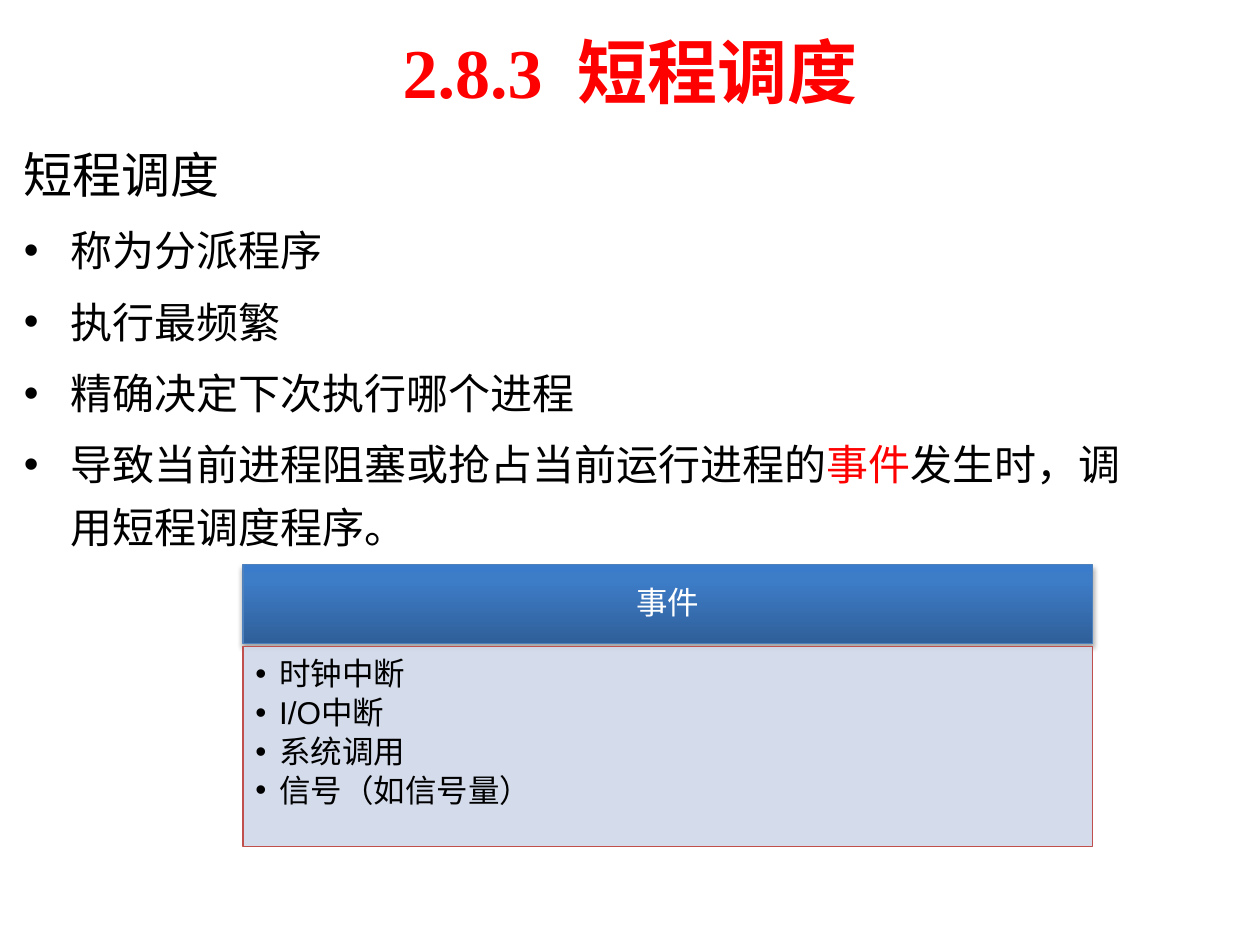
"""Build the slide on short-term scheduling and the events that trigger it."""
from lxml.etree import SubElement
from pptx import Presentation
from pptx.dml.color import RGBColor
from pptx.enum.shapes import MSO_SHAPE
from pptx.enum.text import MSO_ANCHOR, PP_ALIGN
from pptx.oxml import parse_xml
from pptx.oxml.ns import nsdecls, qn
from pptx.util import Cm, Pt

RED = RGBColor(0xFF, 0x00, 0x00)
BLACK = RGBColor(0x00, 0x00, 0x00)
WHITE = RGBColor(0xFF, 0xFF, 0xFF)
BLUE_LINE = RGBColor(0x4F, 0x81, 0xBD)
PANEL_LINE = RGBColor(0xC0, 0x50, 0x4D)
PANEL_FILL = RGBColor(0xD0, 0xD8, 0xE8)
HEADER_STOPS = [
    (0, RGBColor(0x2F, 0x5F, 0x99)),
    (80, RGBColor(0x3D, 0x7C, 0xC7)),
    (100, RGBColor(0x3A, 0x7C, 0xCB)),
]
SERIF, SANS = "Times New Roman", "Arial"

POINTS = [
    [("称为分派程序", BLACK)],
    [("执行最频繁", BLACK)],
    [("精确决定下次执行哪个进程", BLACK)],
    [("导致当前进程阻塞或抢占当前运行进程的", BLACK), ("事件", RED),
     ("发生时，调用短程调度程序。", BLACK)],
]
EVENTS = ["时钟中断", "I/O中断", "系统调用", "信号（如信号量）"]


def add_run(p, text, size=18, font=SANS, color=BLACK, bold=False, spacing=0):
    r = p.add_run()
    r.text = text
    r.font.size = Pt(size)
    r.font.name = font
    r.font.bold = bold
    r.font.color.rgb = color
    if spacing:
        r.font._element.set("spc", str(spacing * 100))


def set_bullet(p, indent):
    pPr = p._p.get_or_add_pPr()
    pPr.set("marL", str(indent))
    pPr.set("indent", str(-indent))
    SubElement(pPr, qn("a:buFont")).set("typeface", SANS)
    SubElement(pPr, qn("a:buChar")).set("char", "•")


def set_frame(sp, anchor, margins):
    tf = sp.text_frame
    tf.word_wrap = True
    tf.vertical_anchor = anchor
    tf.margin_left, tf.margin_top, tf.margin_right, tf.margin_bottom = map(Cm, margins)
    return tf


def add_text_box(slide, left, top, width, height, anchor=MSO_ANCHOR.TOP):
    sp = slide.shapes.add_textbox(Cm(left), Cm(top), Cm(width), Cm(height))
    return set_frame(sp, anchor, (0.25, 0.13, 0.25, 0.13))


def add_box(slide, top, height, line):
    sp = slide.shapes.add_shape(
        MSO_SHAPE.RECTANGLE, Cm(4.9), Cm(top), Cm(17.12), Cm(height))
    sp.shadow.inherit = False
    sp.line.color.rgb = line
    sp.line.width = Pt(0.75)
    return sp


def fill_gradient(sp, stops):
    sp.fill.gradient()
    sp.fill.gradient_angle = 90
    gs_lst = sp._element.spPr.find(qn("a:gradFill")).find(qn("a:gsLst"))
    for gs in list(gs_lst):
        gs_lst.remove(gs)
    for pos, color in stops:
        gs = SubElement(gs_lst, qn("a:gs"), pos=str(pos * 1000))
        SubElement(gs, qn("a:srgbClr"), val=str(color))


def add_shadow(sp):
    effects = sp._element.spPr.find(qn("a:effectLst"))
    effects.append(parse_xml(
        f'<a:outerShdw {nsdecls("a")} blurRad="{Pt(3.1)}" dist="{Pt(1.8)}" '
        'dir="5400000" rotWithShape="0"><a:srgbClr val="000000">'
        '<a:alpha val="35000"/></a:srgbClr></a:outerShdw>'))


def add_title(slide):
    tf = add_text_box(slide, 1.27, 0.13, 22.86, 2.59, MSO_ANCHOR.MIDDLE)
    p = tf.paragraphs[0]
    p.alignment = PP_ALIGN.CENTER
    style = dict(size=40, font=SERIF, color=RED, bold=True)
    add_run(p, "2.8.3", **style)
    add_run(p, " ", spacing=10, **style)
    add_run(p, "短程调度", **style)


def add_body(slide):
    tf = add_text_box(slide, 0.23, 2.79, 22.86, 9.55)
    add_run(tf.paragraphs[0], "短程调度", size=28, font=SERIF)
    for point in POINTS:
        p = tf.add_paragraph()
        set_bullet(p, Cm(0.95))
        p.line_spacing = 1.25
        p.space_before = Pt(4.8)
        for text, color in point:
            add_run(p, text, size=24, color=color)


def add_event_header(slide):
    sp = add_box(slide, 11.38, 1.6, BLUE_LINE)
    fill_gradient(sp, HEADER_STOPS)
    add_shadow(sp)
    tf = set_frame(sp, MSO_ANCHOR.MIDDLE, (0.36, 0.2, 0.36, 0.2))
    p = tf.paragraphs[0]
    p.alignment = PP_ALIGN.CENTER
    p.line_spacing = 0.9
    add_run(p, "事件", color=WHITE)


def add_event_list(slide):
    sp = add_box(slide, 13.03, 4.04, PANEL_LINE)
    sp.fill.solid()
    sp.fill.fore_color.rgb = PANEL_FILL
    clr = sp._element.spPr.find(qn("a:solidFill")).find(qn("a:srgbClr"))
    SubElement(clr, qn("a:alpha"), val="90000")
    tf = set_frame(sp, MSO_ANCHOR.TOP, (0.25, 0.25, 0.36, 0.41))
    for i, event in enumerate(EVENTS):
        p = tf.add_paragraph() if i else tf.paragraphs[0]
        p.level = 1
        set_bullet(p, Cm(0.48))
        p.alignment = PP_ALIGN.LEFT
        p.line_spacing = 0.9
        p.space_after = Pt(2.7)
        add_run(p, event)


def main():
    prs = Presentation()
    prs.slide_width, prs.slide_height = Cm(25.4), Cm(19.05)
    slide = prs.slides.add_slide(prs.slide_layouts[6])
    add_title(slide)
    add_body(slide)
    add_event_header(slide)
    add_event_list(slide)
    prs.save("out.pptx")


if __name__ == "__main__":
    main()
